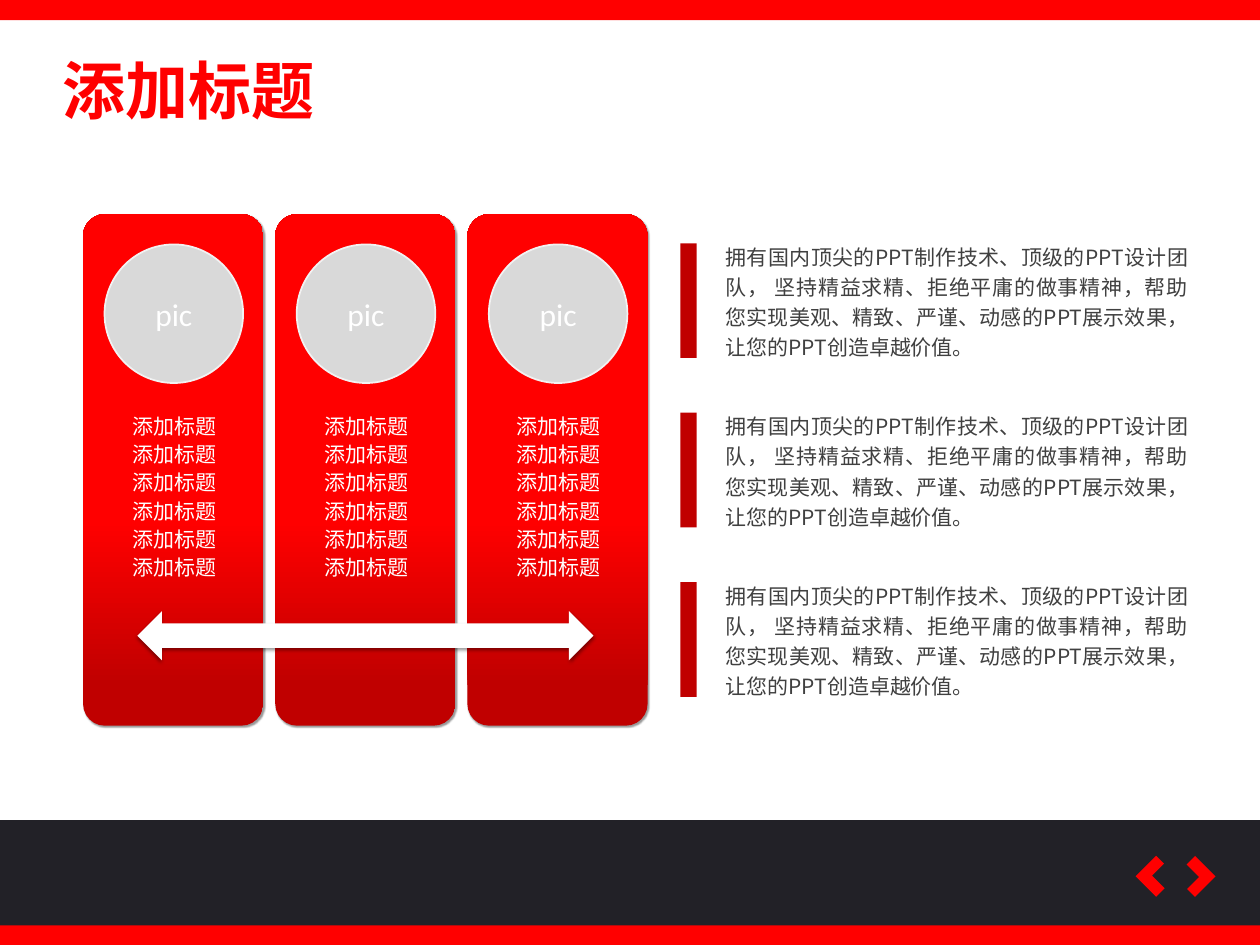
from copy import deepcopy
from typing import NamedTuple, Optional

from lxml import etree
from pptx import Presentation, util as u
from pptx.dml.color import RGBColor
from pptx.enum import shapes, text
from pptx.oxml.ns import qn

RED = RGBColor(0xFF, 0x00, 0x00)
DARK_RED = RGBColor(0xC0, 0x00, 0x00)
INK = RGBColor(0x22, 0x21, 0x27)
WHITE = RGBColor(0xFF, 0xFF, 0xFF)
BODY_GREY = RGBColor(0x40, 0x40, 0x40)
DISC_GREY = RGBColor(0xD9, 0xD9, 0xD9)
RIM_GREY = RGBColor(0xF2, 0xF2, 0xF2)
CJK = "Noto Sans CJK SC"
LABEL = "添加标题"
BODY = ("拥有国内顶尖的PPT制作技术、顶级的PPT设计团队， 坚持精益求精、拒绝平庸的做事精神，"
        "帮助您实现美观、精致、严谨、动感的PPT展示效果，让您的PPT创造卓越价值。")

# The slide is a grid of 20 columns by 15 rows of square cells
COLS, ROWS = 20, 15
CELL = u.Inches(0.5)
PANEL_STEP, LINE_STEP, BODY_STEP = 3.05, 0.45, 2.69
MSO = shapes.MSO_SHAPE


class Box(NamedTuple):
    col: float
    row: float
    cols: float
    rows: float

    def shift(self, cols: float = 0, rows: float = 0) -> "Box":
        return self._replace(col=self.col + cols, row=self.row + rows)

    def emu(self) -> list[int]:
        return [round(n * CELL) for n in self]


class Style(NamedTuple):
    size: float
    color: RGBColor
    font: str = CJK
    bold: bool = False
    align: Optional[text.PP_ALIGN] = None
    spacing: Optional[float] = None


TITLE = Style(36, RED, bold=True)
DISC = Style(18, WHITE, "Calibri", align=text.PP_ALIGN.CENTER)
CAPTION = Style(12, WHITE, align=text.PP_ALIGN.CENTER)
PARAGRAPH = Style(12, BODY_GREY, align=text.PP_ALIGN.JUSTIFY, spacing=1.2)


def write(tf, words: str, style: Style) -> None:
    tf.text = words
    p = tf.paragraphs[0]
    p.alignment, p.line_spacing = style.align, style.spacing
    r = p.runs[0]
    r.font.size, r.font.bold = u.Pt(style.size), style.bold
    r.font.color.rgb = style.color
    r.font.name = style.font
    etree.SubElement(r.font._element, qn("a:ea"), typeface=style.font)


def add_text(s, box: Box, words: str, style: Style, wrap: bool = True) -> None:
    tf = s.shapes.add_textbox(*box.emu()).text_frame
    write(tf, words, style)
    tf.word_wrap = wrap
    tf.auto_size = text.MSO_AUTO_SIZE.SHAPE_TO_FIT_TEXT


def add_shape(s, kind: MSO, box: Box, color: RGBColor, rotation: float = 0,
              adjust: tuple[float, ...] = ()):
    sp = s.shapes.add_shape(kind, *box.emu())
    sp.shadow.inherit = False
    sp.fill.solid()
    sp.fill.fore_color.rgb = color
    sp.line.fill.background()
    sp.rotation = rotation
    for i, value in enumerate(adjust):
        sp.adjustments[i] = value
    return sp


def add_shadow(sp, blur: float, distance: float, angle: int) -> None:
    effects = sp._element.spPr.find(qn("a:effectLst"))
    shadow = etree.SubElement(
        effects, qn("a:outerShdw"), blurRad=str(u.Pt(blur)), dist=str(u.Pt(distance)),
        dir=str(angle * 60000), algn="ctr", rotWithShape="0")
    color = etree.SubElement(shadow, qn("a:srgbClr"), val="000000")
    etree.SubElement(color, qn("a:alpha"), val="40000")


def add_panel(s, box: Box) -> None:
    sp = add_shape(s, MSO.ROUNDED_RECTANGLE, box, RED, adjust=(0.121,))
    sp.fill.gradient()
    sp.fill.gradient_angle = 90
    first = sp._element.spPr.find(".//" + qn("a:gs"))
    first.addnext(deepcopy(first))
    stops = zip(sp.fill.gradient_stops, (0, 0.08, 0.4), (DARK_RED, DARK_RED, RED))
    for stop, at, color in stops:
        stop.position, stop.color.rgb = at, color
    add_shadow(sp, 1, 1, 45)


def add_disc(s, box: Box) -> None:
    sp = add_shape(s, MSO.OVAL, box, DISC_GREY)
    sp.line.color.rgb, sp.line.width = RIM_GREY, u.Pt(1)
    sp.text_frame.vertical_anchor = text.MSO_ANCHOR.MIDDLE
    write(sp.text_frame, "pic", DISC)


def main() -> None:
    prs = Presentation()
    prs.slide_width, prs.slide_height = COLS * CELL, ROWS * CELL
    s = prs.slides.add_slide(prs.slide_layouts[6])

    # Frame: bands and the two chevrons
    add_shape(s, MSO.RECTANGLE, Box(0, 14.68, COLS, 0.32), RED)
    add_shape(s, MSO.RECTANGLE, Box(0, 13.02, COLS, 1.67), INK)
    for col, turn in ((18.12, 45), (18.74, 225)):
        add_shape(s, MSO.CORNER, Box(col, 13.68, 0.46, 0.46), RED, turn, (0.415, 0.386))
    add_shape(s, MSO.RECTANGLE, Box(0, 0, COLS, 0.32), RED)
    add_text(s, Box(0.8, 0.72, 4.44, 1.42), LABEL, TITLE, wrap=False)

    # Panels, each with a disc and six captions
    for i in range(3):
        across = i * PANEL_STEP
        add_panel(s, Box(1.32, 3.4, 2.86, 8.12).shift(across))
        add_disc(s, Box(1.66, 3.88, 2.2, 2.2).shift(across))
        for j in range(6):
            add_text(s, Box(1.76, 6.46, 2.02, 0.6).shift(across, j * LINE_STEP), LABEL, CAPTION)

    # Body paragraphs with upright marker bars
    for i in range(3):
        down = i * BODY_STEP
        add_shape(s, MSO.RECTANGLE, Box(10.02, 4.64, 1.82, 0.26).shift(rows=down), DARK_RED, 270)
        add_text(s, Box(11.32, 3.7, 7.74, 2.14).shift(rows=down), BODY, PARAGRAPH)

    # Arrow across the panels
    arrow = add_shape(s, MSO.LEFT_RIGHT_ARROW, Box(2.18, 9.7, 7.24, 0.78), WHITE)
    add_shadow(arrow, 2, 1, 90)

    prs.save("out.pptx")


if __name__ == "__main__":
    main()
